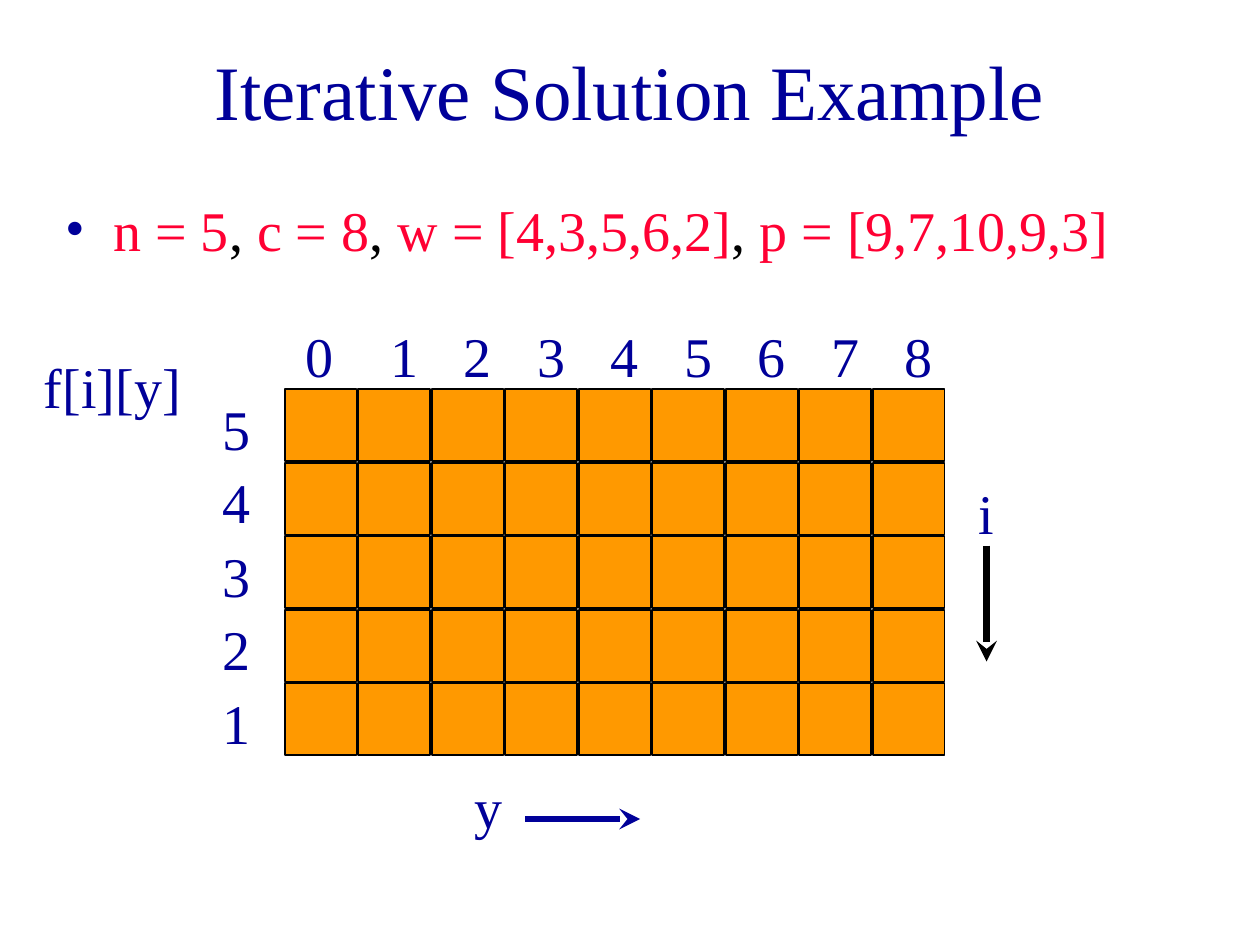
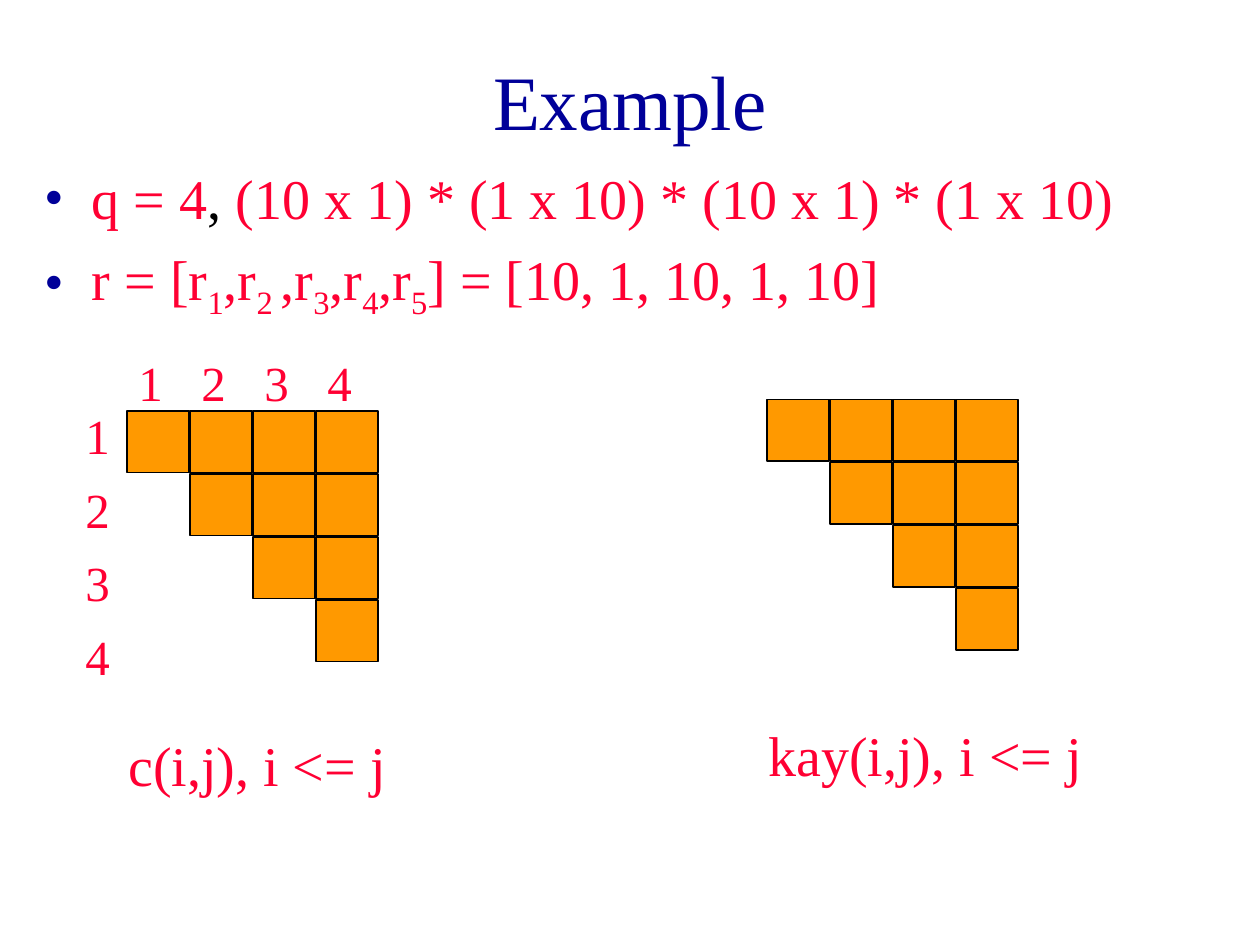
from dataclasses import dataclass

from pptx import Presentation
from pptx.dml.color import RGBColor as RGB
from pptx.enum.shapes import MSO_CONNECTOR as CONN, MSO_SHAPE as SHAPE
from pptx.enum.text import MSO_ANCHOR as ANCHOR, MSO_AUTO_SIZE as AUTO, PP_ALIGN as ALIGN
from pptx.oxml.ns import qn
from pptx.util import Inches, Pt
from lxml import etree


@dataclass(frozen=True)
class Theme:
    font: str = "Times New Roman"
    navy: RGB = RGB(0x00, 0x00, 0x99)
    red: RGB = RGB(0xFF, 0x00, 0x33)
    black: RGB = RGB(0x00, 0x00, 0x00)
    orange: RGB = RGB(0xFF, 0x99, 0x00)
    title_size: int = 44
    text_size: int = 32
    index_size: int = 28
    cell_line: float = 1
    arrow_line: float = 4


T = Theme()
COMMA = (", ", {"color": T.black})


def sub(text):
    return text, {"baseline": -25}


def place(sp, left, top, width, height):
    sp.left, sp.top = Inches(left), Inches(top)
    sp.width, sp.height = Inches(width), Inches(height)


def add_run(p, text, size=T.text_size, color=T.navy, baseline=0):
    r = p.add_run()
    r.text = text
    r.font.name, r.font.size = T.font, Pt(size)
    r.font.color.rgb = color
    if baseline:
        r.font._element.set("baseline", str(baseline * 1000))


def write(p, runs, align=ALIGN.LEFT, space_before=0, **fmt):
    """Fill a paragraph; a run is a string or a (string, overrides) pair."""
    p.alignment = align
    p.space_before = Pt(space_before)
    for run in [runs] if isinstance(runs, str) else runs:
        text, own = (run, {}) if isinstance(run, str) else run
        add_run(p, text, **{**fmt, **own})


def set_bullet(p, char="•"):
    pPr = p._p.get_or_add_pPr()
    pPr.set("marL", str(Inches(0.38)))
    pPr.set("indent", str(-Inches(0.38)))
    color = etree.SubElement(pPr, qn("a:buClr"))
    etree.SubElement(color, qn("a:srgbClr"), val=str(T.navy))
    etree.SubElement(pPr, qn("a:buFont"), typeface=T.font)
    etree.SubElement(pPr, qn("a:buChar"), char=char)


def add_slide(prs, title, title_box, bullets, body_box):
    slide = prs.slides.add_slide(prs.slide_layouts[1])
    head, body = slide.placeholders
    place(head, *title_box)
    head.text_frame.vertical_anchor = ANCHOR.MIDDLE
    write(head.text_frame.paragraphs[0], title, align=ALIGN.CENTER, size=T.title_size)
    place(body, *body_box)
    tf = body.text_frame
    for sp in (head, body):
        sp.text_frame.auto_size = AUTO.NONE
    for n, runs in enumerate(bullets):
        p = tf.add_paragraph() if n else tf.paragraphs[0]
        set_bullet(p)
        write(p, runs, color=T.red, space_before=7.5 if n else 0)
    return slide


def add_label(slide, text, left, top, width=0.49, height=0.63, **fmt):
    tb = slide.shapes.add_textbox(*map(Inches, (left, top, width, height)))
    tb.text_frame.word_wrap = True
    write(tb.text_frame.paragraphs[0], text, **fmt)


def add_labels(slide, texts, left, top, dx=0, dy=0, **fmt):
    for n, text in enumerate(texts):
        add_label(slide, text, left + n * dx, top + n * dy, **fmt)


def add_grid(slide, left, top, rows, cols, pitch, size, upper=False):
    """Draw a grouped grid of cells; upper keeps only those with column >= row."""
    group = slide.shapes.add_group_shape()
    for row in range(rows):
        for col in range(row if upper else 0, cols):
            cell = group.shapes.add_shape(
                SHAPE.RECTANGLE, Inches(left + col * pitch), Inches(top + row * pitch),
                Inches(size), Inches(size))
            cell.shadow.inherit = False
            cell.fill.solid()
            cell.fill.fore_color.rgb = T.orange
            cell.line.color.rgb = T.black
            cell.line.width = Pt(T.cell_line)


def add_arrow(slide, x1, y1, x2, y2, color):
    arrow = slide.shapes.add_connector(CONN.STRAIGHT, *map(Inches, (x1, y1, x2, y2)))
    arrow.line.color.rgb = color
    arrow.line.width = Pt(T.arrow_line)
    etree.SubElement(arrow.line._get_or_add_ln(), qn("a:tailEnd"), type="stealth")
    etree.SubElement(arrow._element.spPr, qn("a:effectLst"))


def build_iterative(prs):
    slide = add_slide(
        prs, "Iterative Solution Example", (0.75, 0.17, 8.5, 1.08),
        [["n = 5", COMMA, "c = 8", COMMA, "w = [4,3,5,6,2]", COMMA, "p = [9,7,10,9,3]"]],
        (0.42, 1.5, 9.25, 0.67))
    pitch = 7 / 12
    add_grid(slide, 2.26, 3.09, rows=5, cols=9, pitch=pitch, size=0.57)
    add_label(slide, "f[i][y]", 0.25, 2.75, width=1.42)
    add_label(slide, "0", 2.33, 2.5)
    add_labels(slide, "12345678", 3, 2.5, dx=pitch)
    add_labels(slide, "54321", 1.67, 3.08, dy=pitch)
    add_label(slide, "y", 3.67, 6.08)
    add_arrow(slide, 4.17, 6.5, 5.08, 6.5, T.navy)
    add_label(slide, "i", 7.67, 3.75, width=0.42)
    add_arrow(slide, 7.83, 4.33, 7.83, 5.25, T.black)


def build_example(prs):
    slide = add_slide(
        prs, "Example", (0.75, 0.17, 8.5, 1.25),
        [["q = 4", COMMA, "(10 x 1) * (1 x 10) * (10 x 1) * (1 x 10)"],
         ["r = [r", sub("1"), ",r", sub("2 "), ",r", sub("3"), ",r", sub("4"),
          ",r", sub("5"), "] = [10, 1, 10, 1, 10]"]],
        (0.25, 1.25, 9.5, 1.42))
    triangle = {"rows": 4, "cols": 4, "pitch": 0.5, "size": 0.49, "upper": True}
    add_grid(slide, 1.01, 3.26, **triangle)
    add_grid(slide, 6.09, 3.17, **triangle)
    add_label(slide, "c(i,j), i <= j", 0.92, 5.75, width=2.5, color=T.red)
    add_label(slide, "kay(i,j), i <= j", 6, 5.67, width=3.08, color=T.red)
    index = {"width": 0.25, "height": 0.57, "size": T.index_size, "color": T.red}
    add_labels(slide, "1234", 1, 2.75, dx=0.5, **index)
    add_labels(slide, "1234", 0.58, 3.17, dy=7 / 12, **index)


def main():
    prs = Presentation()
    prs.slide_width, prs.slide_height = Inches(10), Inches(7.5)
    build_iterative(prs)
    build_example(prs)
    prs.save("out.pptx")


if __name__ == "__main__":
    main()
